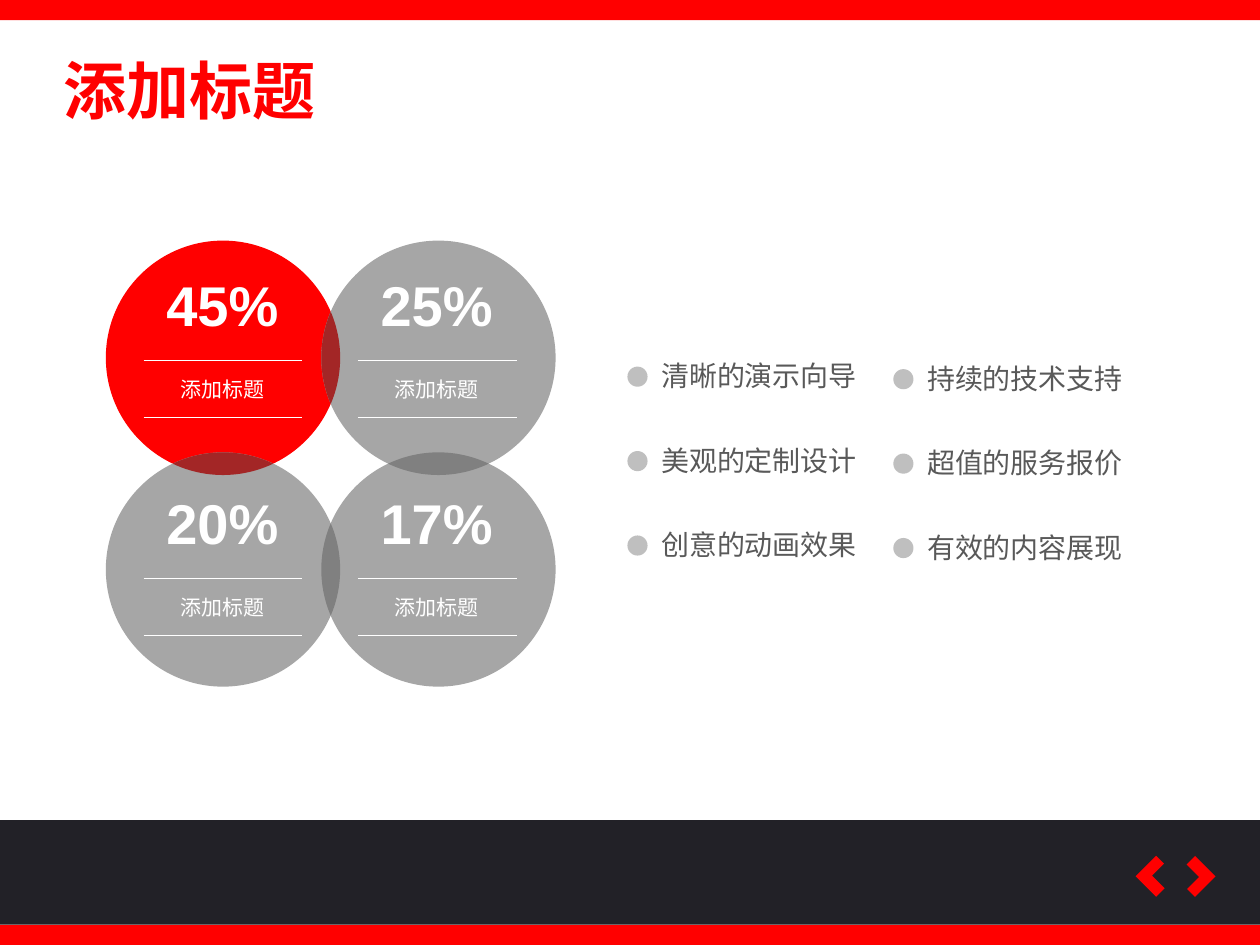
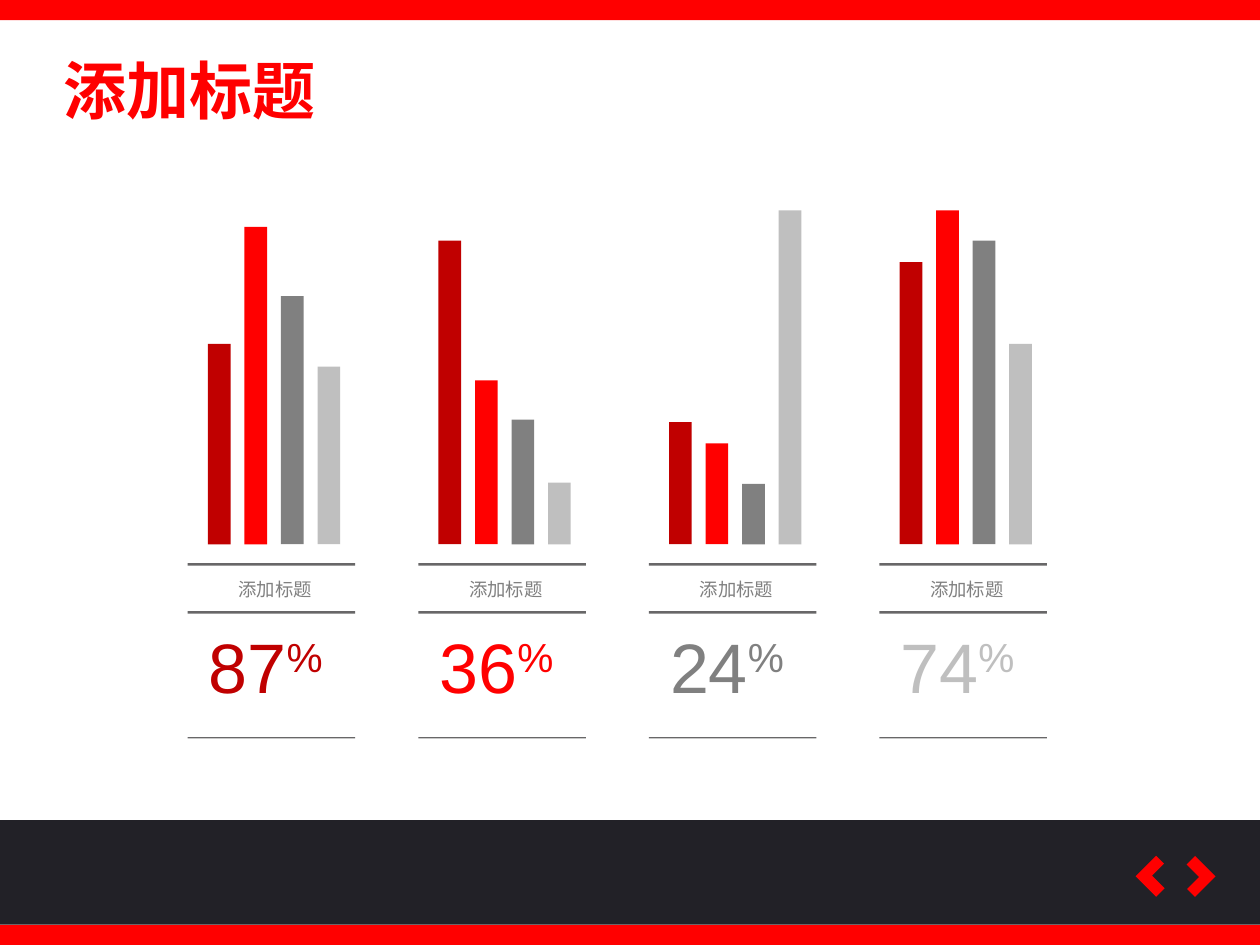
from math import acos, atan2, cos, hypot, pi, sin

from lxml.etree import SubElement
from pptx import Presentation
from pptx.dml.color import RGBColor
from pptx.enum.shapes import MSO_CONNECTOR, MSO_SHAPE
from pptx.enum.text import MSO_ANCHOR, MSO_AUTO_SIZE, PP_ALIGN
from pptx.oxml.ns import qn
from pptx.util import Inches, Pt

# Shared colours, fonts and text formats
RED, DARK, WHITE = "FF0000", "222127", "FFFFFF"
DEEP, GREY, MID, PALE = "C00000", "A6A6A6", "808080", "BFBFBF"
BLEND, RULE, INK = "A32626", "686768", "595959"
HAN, LATIN = "Noto Sans CJK SC", "Arial"
LABEL = "添加标题"

HEAD = {"name": HAN, "size": Pt(36), "bold": True}
SHARE = {"name": LATIN, "size": Pt(32), "bold": True}
NOTE = {"name": HAN, "size": Pt(12)}
ITEM = {"name": HAN, "size": Pt(16)}
SMALL = {"name": HAN, "size": Pt(10.5)}
BIG = {"name": LATIN, "size": Pt(40)}


def paint(shape, colour):
    """Give a shape a plain fill without line or shadow."""
    shape.shadow.inherit = False
    shape.fill.solid()
    shape.fill.fore_color.rgb = RGBColor.from_string(colour)
    shape.line.fill.background()
    return shape


def write(box, words, form, colour, align=PP_ALIGN.LEFT, wrap=True):
    """Fill a box with one paragraph and return its runs."""
    frame = box.text_frame
    frame.word_wrap = wrap
    frame.auto_size = MSO_AUTO_SIZE.NONE
    frame.vertical_anchor = MSO_ANCHOR.TOP
    para = frame.paragraphs[0]
    para.alignment = align
    for word in words:
        run = para.add_run()
        run.text = word
        for key, value in form.items():
            setattr(run.font, key, value)
        run.font.color.rgb = RGBColor.from_string(colour)
        SubElement(run._r.get_or_add_rPr(), qn("a:ea"), typeface=form["name"])
    return para.runs


deck = Presentation()
deck.slide_width, deck.slide_height = Inches(10), Inches(7.5)
pages = [deck.slides.add_slide(deck.slide_layouts[5]) for _ in range(2)]

# Title, bands and corner arrows on both slides
for page in pages:
    title = page.shapes.title
    title.left, title.top = Inches(0.4), Inches(0.36)
    title.width, title.height = Inches(2.22), Inches(0.71)
    write(title, [LABEL], HEAD, RED, wrap=False)
    for top, height, colour in [(7.34, 0.16, RED), (6.51, 0.83, DARK), (0, 0.16, RED)]:
        paint(page.shapes.add_shape(MSO_SHAPE.RECTANGLE, 0, Inches(top),
                                    Inches(10), Inches(height)), colour)
    for left, turn in [(9.06, 45), (9.37, 225)]:
        arrow = page.shapes.add_shape(MSO_SHAPE.RECTANGLE, Inches(left), Inches(6.84),
                                      Inches(0.23), Inches(0.23))
        arrow.rotation = turn
        paint(arrow, RED)
        # The L-shaped preset has no member in MSO_SHAPE
        preset = arrow._element.spPr.find(qn("a:prstGeom"))
        preset.set("prst", "corner")
        for name, size in [("adj1", 41500), ("adj2", 38600)]:
            SubElement(preset.find(qn("a:avLst")), qn("a:gd"), name=name, fmla=f"val {size}")

# Slide 1: four overlapping circles
shapes = pages[0].shapes
RADIUS = 0.93
mids = [(x, y) for y in (2.84, 4.52) for x in (1.77, 3.48)]
for (x, y), colour in zip(mids, [RED, GREY, GREY, GREY]):
    paint(shapes.add_shape(MSO_SHAPE.OVAL, Inches(x - RADIUS), Inches(y - RADIUS),
                           Inches(2 * RADIUS), Inches(2 * RADIUS)), colour)

# Lens where two neighbouring circles meet: one arc from each
STEPS = 24
for one, two, colour in [(0, 1, BLEND), (0, 2, BLEND), (1, 3, MID), (2, 3, MID)]:
    (ax, ay), (bx, by) = mids[one], mids[two]
    half = acos(hypot(bx - ax, by - ay) / 2 / RADIUS)
    aim = atan2(by - ay, bx - ax)
    dots = []
    for x, y, face in [(ax, ay, aim), (bx, by, aim + pi)]:
        for step in range(STEPS + 1):
            angle = face + half * (2 * step / STEPS - 1)
            dots.append((Inches(x + RADIUS * cos(angle)),
                         Inches(y + RADIUS * sin(angle))))
    lens = shapes.build_freeform(*dots[0])
    lens.add_line_segments(dots[1:], close=True)
    paint(lens.convert_to_shape(), colour)

# Share, label and two rules in each circle
for spot, share in enumerate(["45%", "25%", "20%", "17%"]):
    row, col = divmod(spot, 2)
    left, drop = 1.22 + 1.7 * col, 1.73 * row
    for top, height, word, form in [(2.1, 0.64, share, SHARE), (2.94, 0.3, LABEL, NOTE)]:
        box = shapes.add_textbox(Inches(left), Inches(top + drop),
                                 Inches(1.09), Inches(height))
        write(box, [word], form, WHITE, PP_ALIGN.CENTER)
    for top in (2.86, 3.31):
        y = Inches(top + drop)
        rule = shapes.add_connector(MSO_CONNECTOR.STRAIGHT, Inches(left - 0.08), y,
                                    Inches(left + 1.18), y)
        rule.line.color.rgb = RGBColor.from_string(WHITE)
        rule.line.width = Pt(0.5)
        SubElement(rule._element.spPr, qn("a:effectLst"))

# Two columns of dotted items
columns = [
    (4.98, 2.8, ["清晰的演示向导", "美观的定制设计", "创意的动画效果"]),
    (7.09, 2.82, ["持续的技术支持", "超值的服务报价", "有效的内容展现"]),
]
for left, first, items in columns:
    for row, item in enumerate(items):
        top = first + 0.67 * row
        paint(shapes.add_shape(MSO_SHAPE.OVAL, Inches(left), Inches(top + 0.11),
                               Inches(0.16), Inches(0.16)), PALE)
        box = shapes.add_textbox(Inches(left + 0.17), Inches(top),
                                 Inches(2.18), Inches(0.37))
        write(box, [item], ITEM, INK, PP_ALIGN.JUSTIFY)

# Slide 2: four panels of bars, each with rules, label and figure
shapes = pages[1].shapes
BASE = 4.32
tones = [DEEP, RED, MID, PALE]
panels = [
    ("87", [1.59, 2.52, 1.97, 1.41]),
    ("36", [2.41, 1.3, 0.99, 0.49]),
    ("24", [0.97, 0.8, 0.48, 2.65]),
    ("74", [2.24, 2.65, 2.41, 1.59]),
]
for spot, (figure, bars) in enumerate(panels):
    left = 1.49 + 1.83 * spot
    blocks = [(left + 0.16 + 0.29 * n, BASE - tall, 0.18, tall, tone)
              for n, (tall, tone) in enumerate(zip(bars, tones))]
    blocks += [(left, top, 1.33, thick, RULE)
               for top, thick in [(4.47, 0.02), (4.85, 0.02), (5.85, 0.01)]]
    for *place, colour in blocks:
        paint(shapes.add_shape(MSO_SHAPE.RECTANGLE, *map(Inches, place)), colour)

    box = shapes.add_textbox(Inches(left + 0.21), Inches(4.54), Inches(0.97), Inches(0.34))
    write(box, [LABEL], SMALL, MID, PP_ALIGN.CENTER)
    box = shapes.add_textbox(Inches(left + 0.07), Inches(4.9), Inches(1.6), Inches(0.77))
    sign = write(box, [figure, "%"], BIG, tones[spot])[1]
    sign._r.get_or_add_rPr().set("baseline", "30000")

deck.save("out.pptx")
